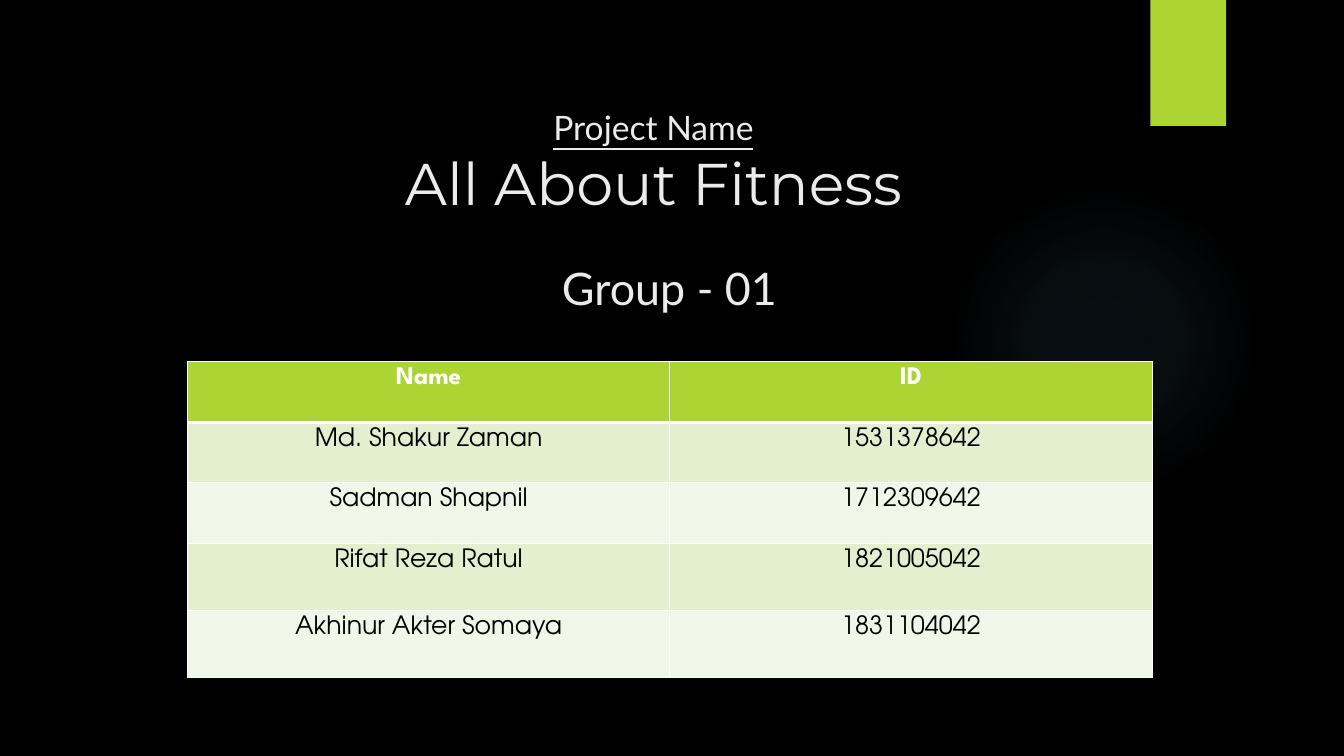
import pptx
import pptx.dml.color
import pptx.enum.shapes
import pptx.enum.text
import pptx.oxml
import pptx.oxml.ns
import pptx.util

BLACK = pptx.dml.color.RGBColor(0x00, 0x00, 0x00)
WHITE = pptx.dml.color.RGBColor(0xFF, 0xFF, 0xFF)
LIME = pptx.dml.color.RGBColor(0xAC, 0xD4, 0x33)
BAND_DARK = pptx.dml.color.RGBColor(0xE3, 0xEF, 0xCE)
BAND_LIGHT = pptx.dml.color.RGBColor(0xF1, 0xF7, 0xE8)
OFF_WHITE = pptx.dml.color.RGBColor(0xEB, 0xEB, 0xEB)
SKY = pptx.dml.color.RGBColor(0x7A, 0xC4, 0xF0)

MEMBERS = [
    ("Name", "ID"),
    ("Md. Shakur Zaman", "1531378642"),
    ("Sadman Shapnil", "1712309642"),
    ("Rifat Reza Ratul", "1821005042"),
    ("Akhinur Akter Somaya", "1831104042"),
]
ROW_SHARES = [8, 8, 8, 8.87, 8.87]


class TitleSlide:
    """Dark title slide whose lengths are percentages of the slide's size."""

    body_font = "Lato"
    header_font = "League Spartan"
    cell_font = "TeX Gyre Adventor"

    def __init__(self, deck):
        self.deck = deck
        self.slide = deck.slides.add_slide(deck.slide_layouts[6])
        self.slide.background.fill.solid()
        self.slide.background.fill.fore_color.rgb = BLACK

    def across(self, share):
        return round(self.deck.slide_width * share / 100)

    def down(self, share):
        return round(self.deck.slide_height * share / 100)

    def area(self, left, top, width, height):
        return self.across(left), self.down(top), self.across(width), self.down(height)

    def shape(self, kind, *shares):
        shape = self.slide.shapes.add_shape(kind, *self.area(*shares))
        shape.shadow.inherit = False
        shape.line.fill.background()
        return shape

    def block(self, color, *shares):
        block = self.shape(pptx.enum.shapes.MSO_SHAPE.RECTANGLE, *shares)
        block.fill.solid()
        block.fill.fore_color.rgb = color

    def glow(self, color, stops, *shares):
        glow = self.shape(pptx.enum.shapes.MSO_SHAPE.OVAL, *shares)
        stop_xml = "".join(
            f'<a:gs pos="{place * 1000}"><a:srgbClr val="{color}">'
            f'<a:alpha val="{opacity * 1000}"/></a:srgbClr></a:gs>'
            for place, opacity in stops
        )
        gradient = pptx.oxml.parse_xml(
            f'<a:gradFill {pptx.oxml.ns.nsdecls("a")} rotWithShape="1">'
            f'<a:gsLst>{stop_xml}</a:gsLst><a:path path="circle">'
            '<a:fillToRect l="50000" t="50000" r="50000" b="50000"/>'
            "</a:path></a:gradFill>"
        )
        glow._element.spPr.find(pptx.oxml.ns.qn("a:prstGeom")).addnext(gradient)

    def centred_run(self, paragraph, text, font, size, color, bold=False, underline=False):
        paragraph.alignment = pptx.enum.text.PP_ALIGN.CENTER
        run = paragraph.add_run()
        run.text = text
        run.font.name = font
        run.font.size = pptx.util.Pt(size)
        run.font.color.rgb = color
        run.font.bold = bold
        run.font.underline = underline

    def heading(self, lines, *shares):
        frame = self.slide.shapes.add_textbox(*self.area(*shares)).text_frame
        frame.word_wrap = True
        for index, (text, font, size, underline) in enumerate(lines):
            paragraph = frame.add_paragraph() if index else frame.paragraphs[0]
            self.centred_run(paragraph, text, font, size, OFF_WHITE, underline=underline)

    def borders(self, cell, top, bottom):
        properties = cell._tc.get_or_add_tcPr()
        for side, points in (("L", 1), ("R", 1), ("T", top), ("B", bottom)):
            properties.append(pptx.oxml.parse_xml(
                f'<a:ln{side} {pptx.oxml.ns.nsdecls("a")} w="{pptx.util.Pt(points)}">'
                f'<a:solidFill><a:srgbClr val="{WHITE}"/></a:solidFill></a:ln{side}>'
            ))

    def table(self, records, row_shares, left, top, width):
        place = self.area(left, top, width, sum(row_shares))
        table = self.slide.shapes.add_table(len(records), len(records[0]), *place).table
        for column in table.columns:
            column.width = self.across(width / len(records[0]))
        for index, (record, share) in enumerate(zip(records, row_shares)):
            table.rows[index].height = self.down(share)
            header = index == 0
            band = BAND_DARK if index % 2 else BAND_LIGHT
            for cell, text in zip(table.rows[index].cells, record):
                self.borders(cell, 3 if index == 1 else 1, 3 if header else 1)
                cell.fill.solid()
                cell.fill.fore_color.rgb = LIME if header else band
                self.centred_run(
                    cell.text_frame.paragraphs[0], text,
                    self.header_font if header else self.cell_font,
                    18, WHITE if header else BLACK, bold=header,
                )


def main():
    deck = pptx.Presentation()
    deck.slide_width = pptx.util.Inches(13.33)
    deck.slide_height = pptx.util.Inches(7.5)
    title = TitleSlide(deck)
    title.glow(SKY, [(0, 7), (36, 6), (69, 0)], 70.58, 24.4, 23.1, 41.07)
    title.block(LIME, 85.6, 0, 5.63, 16.67)
    title.table(MEMBERS, ROW_SHARES, 13.95, 47.87, 71.78)
    title.heading(
        [("Project Name", title.body_font, 24, True),
         ("All About Fitness", "Montserrat", 42, False)],
        16.73, 13.47, 63.77, 20.4,
    )
    title.heading([("Group - 01", title.body_font, 32, False)], 17.93, 33.87, 63.77, 12.13)
    deck.save("out.pptx")


if __name__ == "__main__":
    main()
